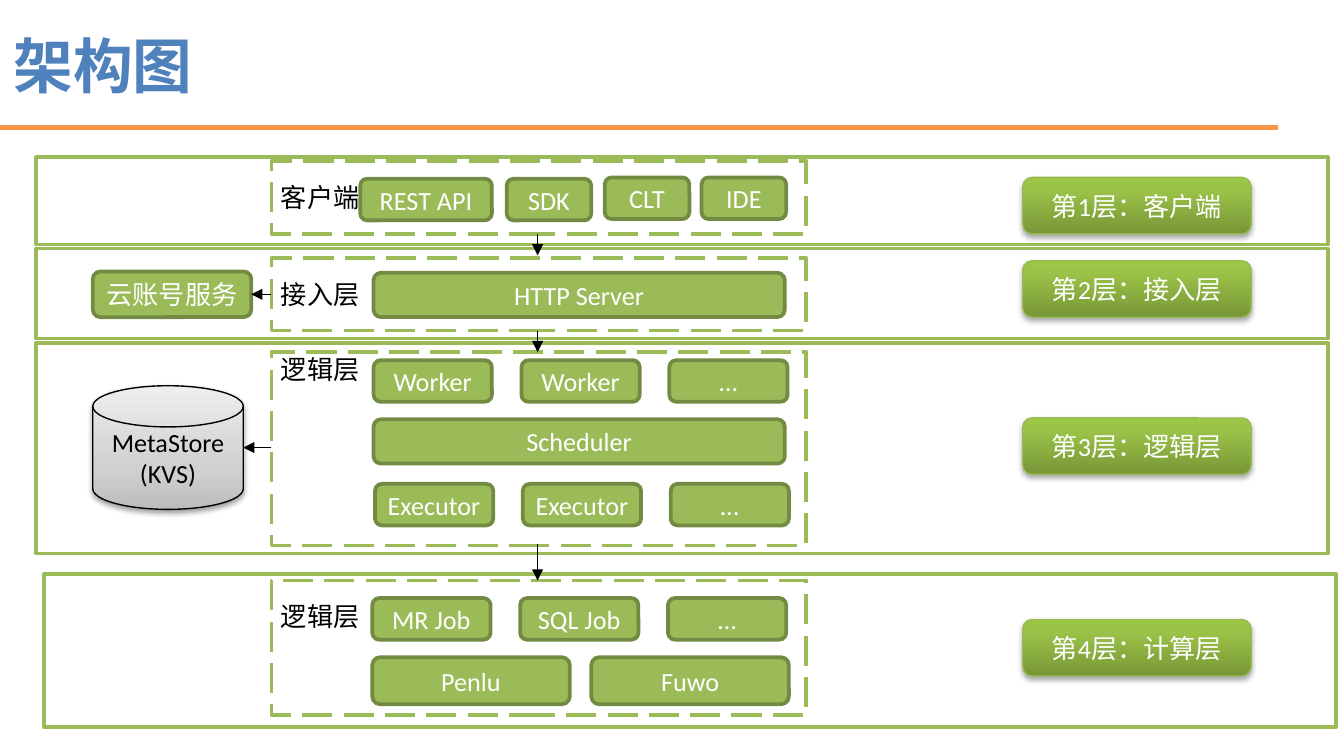
from lxml import etree
from pptx import Presentation
from pptx.dml.color import RGBColor
from pptx.enum.dml import MSO_LINE
from pptx.enum.shapes import MSO_CONNECTOR, MSO_SHAPE
from pptx.enum.text import MSO_ANCHOR, PP_ALIGN
from pptx.oxml.ns import qn
from pptx.util import Inches, Pt

RECT = MSO_SHAPE.RECTANGLE
ROUNDED = MSO_SHAPE.ROUNDED_RECTANGLE
DISK = MSO_SHAPE.FLOWCHART_MAGNETIC_DISK
STRAIGHT = MSO_CONNECTOR.STRAIGHT
LONG_DASH = MSO_LINE.LONG_DASH
LEFT, CENTER = PP_ALIGN.LEFT, PP_ALIGN.CENTER
TOP, MIDDLE = MSO_ANCHOR.TOP, MSO_ANCHOR.MIDDLE

GREEN, DARK_GREEN = "9BBB59", "738A42"
WHITE, BLACK = "FFFFFF", "000000"
GREEN_STOPS = [(0, "779737"), (80, "9BC348"), (100, "9DC746")]
GREY_STOPS = [(0, "BDBDBD"), (35, "D1D1D1"), (100, "EEEEEE")]
GROUP_X, GROUP_W = 2.02, 3.98
GROUP_MID = 4


def rgb(value):
    return RGBColor.from_string(value)


def add_color(parent, value):
    return etree.SubElement(parent, qn("a:srgbClr"), val=value)


def add_box(s, kind, x, y, w, h, fill=WHITE, line=GREEN, width=2):
    sp = s.shapes.add_shape(kind, Inches(x), Inches(y), Inches(w), Inches(h))
    sp.shadow.inherit = False
    sp.fill.solid()
    sp.fill.fore_color.rgb = rgb(fill)
    sp.line.color.rgb = rgb(line)
    sp.line.width = Pt(width)
    return sp


def set_text(sp, text, color, align=CENTER, anchor=MIDDLE, top=0.04):
    tf = sp.text_frame
    tf.word_wrap = True
    tf.vertical_anchor = anchor
    tf.margin_left = tf.margin_right = Inches(0.07)
    tf.margin_top, tf.margin_bottom = Inches(top), Inches(0.04)
    tf.text = text
    for p in tf.paragraphs:
        p.alignment = align
        p.font.name = "Calibri"
        p.font.size = Pt(14)
        p.font.color.rgb = rgb(color)


def add_depth(sp, stops, opacity):
    """Give a shape a bottom-to-top gradient and a soft shadow below."""
    sp.fill.gradient()
    sp.fill.gradient_angle = 90
    stop_list = sp._element.spPr.find(".//" + qn("a:gsLst"))
    for old in list(stop_list):
        stop_list.remove(old)
    for position, color in stops:
        stop = etree.SubElement(stop_list, qn("a:gs"), pos=str(position * 1000))
        add_color(stop, color)
    effects = sp._element.spPr.find(qn("a:effectLst"))
    shadow = etree.SubElement(effects, qn("a:outerShdw"), blurRad=str(Pt(3.1)),
                              dist=str(Pt(1.7)), dir="5400000", rotWithShape="0")
    etree.SubElement(add_color(shadow, BLACK), qn("a:alpha"), val=str(opacity * 1000))


def add_node(s, text, x, y, w, h=0.31):
    sp = add_box(s, ROUNDED, x, y, w, h, GREEN, DARK_GREEN)
    set_text(sp, text, WHITE)


def add_node_row(s, texts, x, y, w=0.88, h=0.31, step=1.1):
    for i, text in enumerate(texts):
        add_node(s, text, x + i * step, y, w, h)


def add_group(s, text, y, h, anchor=MIDDLE, top=0.04):
    sp = add_box(s, RECT, GROUP_X, y, GROUP_W, h)
    sp.line.dash_style = LONG_DASH
    set_text(sp, text, BLACK, LEFT, anchor, top)


def add_layer_label(s, text, y):
    sp = add_box(s, ROUNDED, 7.61, y, 1.7, 0.42, line="98B955", width=0.75)
    add_depth(sp, GREEN_STOPS, 35)
    set_text(sp, text, WHITE)


def add_store(s, text):
    sp = add_box(s, DISK, 0.69, 2.87, 1.12, 0.92, line=BLACK, width=0.75)
    add_depth(sp, GREY_STOPS, 38)
    set_text(sp, text, BLACK)


def add_line(s, x1, y1, x2, y2, color=BLACK, width=0.75, arrow=True):
    line = s.shapes.add_connector(STRAIGHT, Inches(x1), Inches(y1), Inches(x2), Inches(y2))
    line.line.color.rgb = rgb(color)
    line.line.width = Pt(width)
    if arrow:
        etree.SubElement(line.line._get_or_add_ln(), qn("a:tailEnd"), type="triangle")
    etree.SubElement(line._element.spPr, qn("a:effectLst"))


def add_title(s, text):
    title = s.shapes.title
    title.left, title.top = Inches(0), Inches(0.01)
    title.width, title.height = Inches(9), Inches(0.94)
    tf = title.text_frame
    tf.vertical_anchor = MIDDLE
    tf.text = text
    p = tf.paragraphs[0]
    p.alignment = LEFT
    p.font.name = "Noto Sans CJK SC"
    p.font.size = Pt(32)
    p.font.bold = True
    p.font.color.rgb = rgb("4F81BD")


def main():
    prs = Presentation()
    prs.slide_width = Inches(10)
    prs.slide_height = prs.slide_width * 9 // 16
    s = prs.slides.add_slide(prs.slide_layouts[5])
    add_title(s, "架构图")

    for x, y, h in [(0.27, 1.17, 0.65), (0.27, 1.85, 0.67),
                    (0.27, 2.55, 1.57), (0.33, 4.27, 1.14)]:
        add_box(s, RECT, x, y, 9.61, h)

    add_group(s, "客户端", 1.2, 0.54)
    add_node(s, "REST API", 2.68, 1.33, 0.98)
    add_node(s, "SDK", 3.77, 1.33, 0.63)
    add_node_row(s, ["CLT", "IDE"], 4.5, 1.32, 0.63, step=0.72)

    add_group(s, "接入层", 1.92, 0.54)
    add_node(s, "HTTP Server", 2.78, 2.03, 3.06, 0.33)
    add_node(s, "云账号服务", 0.69, 2.02, 1.18, 0.34)

    add_group(s, "逻辑层", 2.62, 1.44, TOP, 0.01)
    add_node_row(s, ["Worker", "Worker", "…"], 2.78, 2.68)
    add_node(s, "Scheduler", 2.78, 3.12, 3.06, 0.33)
    add_node_row(s, ["Executor", "Executor", "…"], 2.79, 3.6)
    add_store(s, "MetaStore\n(KVS)")

    add_group(s, "逻辑层", 4.32, 1, TOP, 0.15)
    add_node_row(s, ["MR Job", "SQL Job", "…"], 2.77, 4.45)
    add_node_row(s, ["Penlu", "Fuwo"], 2.77, 4.89, 1.47, 0.35, 1.63)

    layers = [("客户端", 1.32), ("接入层", 1.94), ("逻辑层", 3.11), ("计算层", 4.61)]
    for number, (name, y) in enumerate(layers, 1):
        add_layer_label(s, f"第{number}层：{name}", y)

    for start, end in [(1.74, 1.9), (2.46, 2.62), (4.05, 4.32)]:
        add_line(s, GROUP_MID, start, GROUP_MID, end)
    for end, y in [(1.87, 2.19), (1.81, 3.33)]:
        add_line(s, GROUP_X, y, end, y)
    add_line(s, -0.02, 0.95, 9.51, 0.95, "F79646", 2.75, arrow=False)

    prs.save("out.pptx")


if __name__ == "__main__":
    main()
